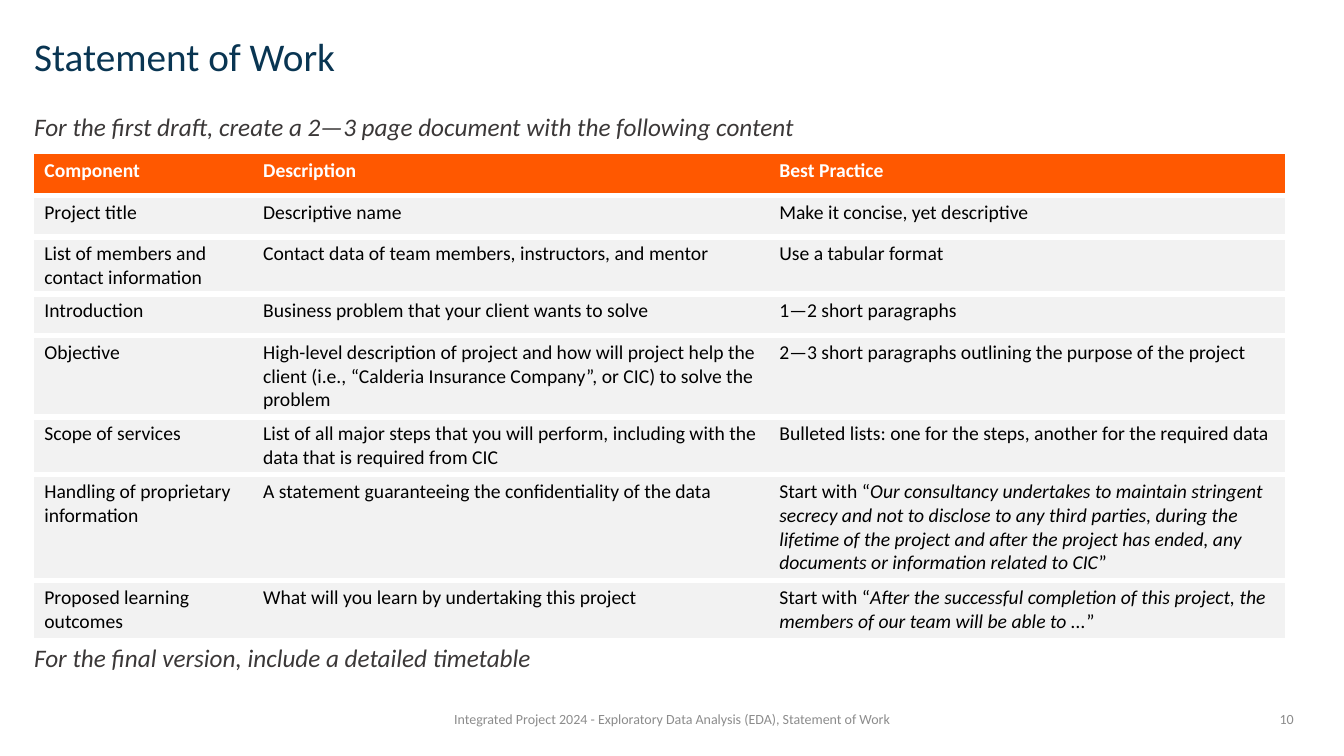
from lxml import etree
from pptx import Presentation
from pptx.dml.color import RGBColor
from pptx.enum import text as t
from pptx.oxml.ns import qn
from pptx.util import Inches, Pt

FONT = "Calibri"
COLORS = {"title": "093552", "note": "3B3838", "footer": "8C8C8C", "header": "FF5800",
          "row": "F2F2F2", "white": "FFFFFF", "black": "000000"}

# Content: a cell is a string, or a list of (text, italic) spans
HEADER = ("Component", "Description", "Best Practice")
ROWS = [
    ("Project title", "Descriptive name", "Make it concise, yet descriptive"),
    ("List of members and contact information",
     "Contact data of team members, instructors, and mentor", "Use a tabular format"),
    ("Introduction", "Business problem that your client wants to solve", "1—2 short paragraphs"),
    ("Objective",
     "High-level description of project and how will project help the client "
     "(i.e., “Calderia Insurance Company”, or CIC) to solve the problem",
     "2—3 short paragraphs outlining the purpose of the project"),
    ("Scope of services",
     "List of all major steps that you will perform, including with the data "
     "that is required from CIC",
     "Bulleted lists: one for the steps, another for the required data"),
    ("Handling of proprietary information",
     "A statement guaranteeing the confidentiality of the data",
     [("Start with “", False),
      ("Our consultancy undertakes to maintain stringent secrecy and not to disclose to any "
       "third parties, during the lifetime of the project and after the project has ended, "
       "any documents or information related to CIC", True),
      ("”", False)]),
    ("Proposed learning outcomes", "What will you learn by undertaking this project",
     [("Start with “", False),
      ("After the successful completion of this project, the members of our team "
       "will be able to ...", True),
      ("”", False)]),
]
COLUMN_WIDTHS = (2.17, 5.12, 5.12)
ROW_HEIGHTS = (0.41, 0.41, 0.57, 0.41, 0.81, 0.57, 1.05, 0.57)

LEFT, ALIGN = 0.24, t.PP_ALIGN
TEXTS = [  # text, (left, top, width, height), format
    ("Statement of Work", (LEFT, 0.27, 12.67, 0.62),
     dict(size=28, color="title", anchor=t.MSO_ANCHOR.MIDDLE, spacing=0.9)),
    ("For the first draft, create a 2—3 page document with the following content",
     (LEFT, 1.05, 12.67, 0.42), dict(size=18, color="note", italic=True)),
    ("For the final version, include a detailed timetable",
     (LEFT, 6.32, 12.67, 0.42), dict(size=18, color="note", italic=True)),
    ("Integrated Project 2024 - Exploratory Data Analysis (EDA), Statement of Work",
     (4.03, 6.93, 5.27, 0.4),
     dict(size=10, color="footer", align=ALIGN.CENTER, anchor=t.MSO_ANCHOR.MIDDLE)),
    ("10", (9.82, 6.93, 3.11, 0.4),
     dict(size=10, color="footer", align=ALIGN.RIGHT, anchor=t.MSO_ANCHOR.MIDDLE)),
]


def write(frame, content, size=14, color="black", bold=False, italic=False,
          align=ALIGN.LEFT, anchor=t.MSO_ANCHOR.TOP, spacing=None):
    frame.word_wrap = True
    frame.vertical_anchor = anchor
    para = frame.paragraphs[0]
    para.alignment = align
    if spacing:
        para.line_spacing = spacing
    spans = [(content, italic)] if isinstance(content, str) else content
    for words, slanted in spans:
        span = para.add_run()
        span.text = words
        span.font.name, span.font.size = FONT, Pt(size)
        span.font.bold, span.font.italic = bold, slanted
        span.font.color.rgb = RGBColor.from_string(COLORS[color])


def set_borders(cell, white_sides):
    """Draw white rules on the named sides and none on the others."""
    props = cell._tc.get_or_add_tcPr()
    for index, side in enumerate("LRTB"):
        line = etree.Element(qn("a:ln" + side), w=str(Pt(4.5)))
        if side in white_sides:
            fill = etree.SubElement(line, qn("a:solidFill"))
            etree.SubElement(fill, qn("a:srgbClr"), val=COLORS["white"])
        else:
            etree.SubElement(line, qn("a:noFill"))
        props.insert(index, line)


deck = Presentation()
deck.slide_width, deck.slide_height = Inches(13.33), Inches(7.5)
page = deck.slides.add_slide(deck.slide_layouts[6])

# Title, notes around the table, footer and page number
for words, place, style in TEXTS:
    box = page.shapes.add_textbox(*map(Inches, place))
    write(box.text_frame, words, **style)

# Table of components
grid = [HEADER] + ROWS
table = page.shapes.add_table(len(grid), len(HEADER), Inches(0.34), Inches(1.53),
                              Inches(sum(COLUMN_WIDTHS)), Inches(sum(ROW_HEIGHTS))).table
table.horz_banding = False
for column, width in zip(table.columns, COLUMN_WIDTHS):
    column.width = Inches(width)
for r, (contents, height) in enumerate(zip(grid, ROW_HEIGHTS)):
    table.rows[r].height = Inches(height)
    heading = r == 0
    sides = ("" if heading else "T") + ("B" if r < len(ROWS) else "")
    for c, content in enumerate(contents):
        cell = table.cell(r, c)
        cell.fill.solid()
        cell.fill.fore_color.rgb = RGBColor.from_string(COLORS["header" if heading else "row"])
        set_borders(cell, sides)
        write(cell.text_frame, content, color="white" if heading else "black", bold=heading)

deck.save("out.pptx")
